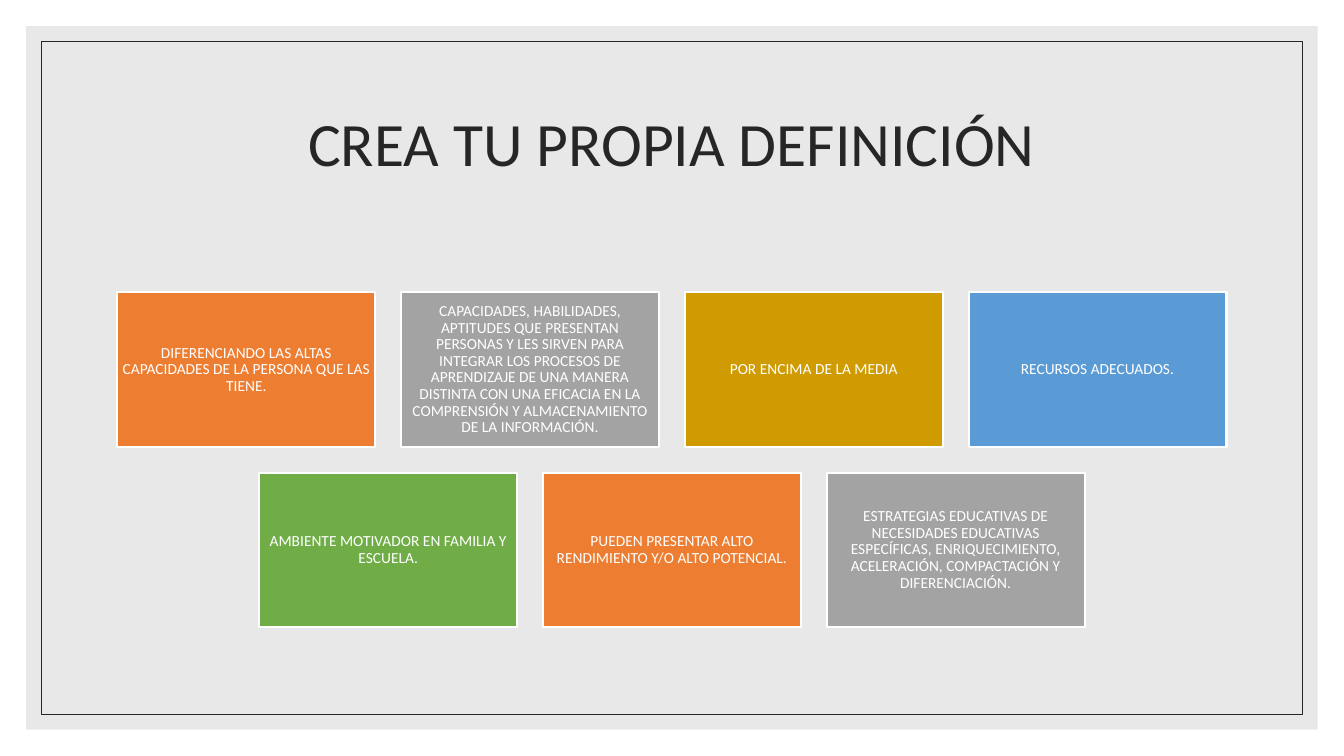
from pptx import Presentation
from pptx.dml.color import RGBColor
from pptx.enum.shapes import MSO_SHAPE
from pptx.enum.text import MSO_ANCHOR, PP_ALIGN
from pptx.oxml.ns import qn
from pptx.util import Cm, Pt
from lxml import etree

RECT = MSO_SHAPE.RECTANGLE
MIDDLE = MSO_ANCHOR.MIDDLE
CENTER = PP_ALIGN.CENTER

SLIDE_W, SLIDE_H = 33.87, 19.05
CARD_W, CARD_H, GAP = 6.5, 3.89, 0.65
CARDS_TOP = 7.37
FONT = "Calibri"
COLORS = {
    "white": "FFFFFF",
    "panel": "D9D9D9",
    "dark": "262626",
    "orange": "ED7D31",
    "gray": "A3A3A3",
    "gold": "CF9B00",
    "blue": "5B9BD5",
    "green": "70AD47",
}
CARD_ROWS = [
    [
        ("orange", "DIFERENCIANDO LAS ALTAS CAPACIDADES DE LA PERSONA QUE LAS TIENE."),
        ("gray", "CAPACIDADES, HABILIDADES, APTITUDES QUE PRESENTAN PERSONAS Y LES SIRVEN "
                 "PARA INTEGRAR LOS PROCESOS DE APRENDIZAJE DE UNA MANERA DISTINTA CON UNA "
                 "EFICACIA EN LA COMPRENSIÓN Y ALMACENAMIENTO DE LA INFORMACIÓN."),
        ("gold", "POR ENCIMA DE LA MEDIA"),
        ("blue", "RECURSOS ADECUADOS."),
    ],
    [
        ("green", "AMBIENTE MOTIVADOR EN FAMILIA Y ESCUELA."),
        ("orange", "PUEDEN PRESENTAR ALTO RENDIMIENTO Y/O ALTO POTENCIAL."),
        ("gray", "ESTRATEGIAS EDUCATIVAS DE NECESIDADES EDUCATIVAS ESPECÍFICAS, "
                 "ENRIQUECIMIENTO, ACELERACIÓN, COMPACTACIÓN Y DIFERENCIACIÓN."),
    ],
]


def rgb(name):
    return RGBColor.from_string(COLORS[name])


def add_rect(s, left, top, width, height, fill=None, line=None, line_pt=0.5):
    sp = s.shapes.add_shape(RECT, Cm(left), Cm(top), Cm(width), Cm(height))
    sp.shadow.inherit = False
    if fill:
        sp.fill.solid()
        sp.fill.fore_color.rgb = rgb(fill)
    else:
        sp.fill.background()
    if line:
        sp.line.color.rgb = rgb(line)
        sp.line.width = Pt(line_pt)
    else:
        sp.line.fill.background()
    return sp


def add_inset_rect(s, inset, **style):
    """Add a rectangle that keeps the same distance to all slide edges."""
    return add_rect(s, inset, inset, SLIDE_W - 2 * inset, SLIDE_H - 2 * inset, **style)


def set_opacity(sp, percent):
    color = sp.fill._xPr.find(qn("a:solidFill"))[0]
    etree.SubElement(color, qn("a:alpha"), val=str(percent * 1000))


def set_text(sp, text, size, color):
    tf = sp.text_frame
    tf.word_wrap = True
    tf.vertical_anchor = MIDDLE
    p = tf.paragraphs[0]
    p.text = text
    p.alignment = CENTER
    p.line_spacing = 0.9
    p.font.name = FONT
    p.font.size = Pt(size)
    p.font.color.rgb = rgb(color)


def add_title(s, text):
    sp = s.shapes.add_textbox(Cm(2.96), Cm(1.78), Cm(27.95), Cm(3.81))
    set_text(sp, text, 44, "dark")


def add_card(s, left, top, fill, text):
    sp = add_rect(s, left, top, CARD_W, CARD_H, fill, "white", 1.5)
    tf = sp.text_frame
    tf.margin_left = tf.margin_right = tf.margin_top = tf.margin_bottom = Cm(0.12)
    set_text(sp, text, 11, "white")


def add_card_row(s, top, cards):
    """Add a row of cards centred on the slide."""
    row_w = len(cards) * (CARD_W + GAP) - GAP
    left = (SLIDE_W - row_w) / 2
    for i, (fill, text) in enumerate(cards):
        add_card(s, left + i * (CARD_W + GAP), top, fill, text)


def main():
    prs = Presentation()
    prs.slide_width, prs.slide_height = Cm(SLIDE_W), Cm(SLIDE_H)
    s = prs.slides.add_slide(prs.slide_layouts[6])
    add_inset_rect(s, 0, fill="white")
    set_opacity(add_inset_rect(s, 0.66, fill="panel"), 60)
    add_inset_rect(s, 1.04, line="dark")
    add_title(s, "CREA TU PROPIA DEFINICIÓN")
    for i, cards in enumerate(CARD_ROWS):
        add_card_row(s, CARDS_TOP + i * (CARD_H + GAP), cards)
    prs.save("out.pptx")


if __name__ == "__main__":
    main()
